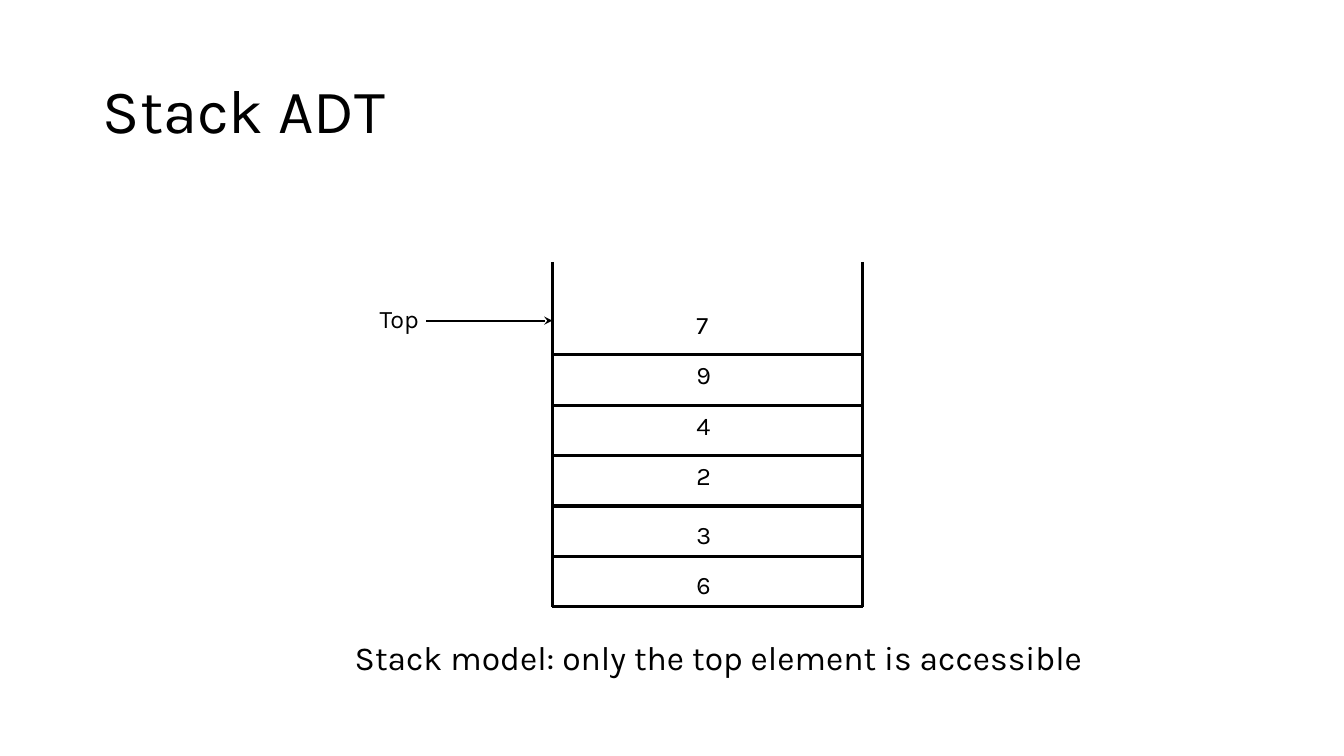
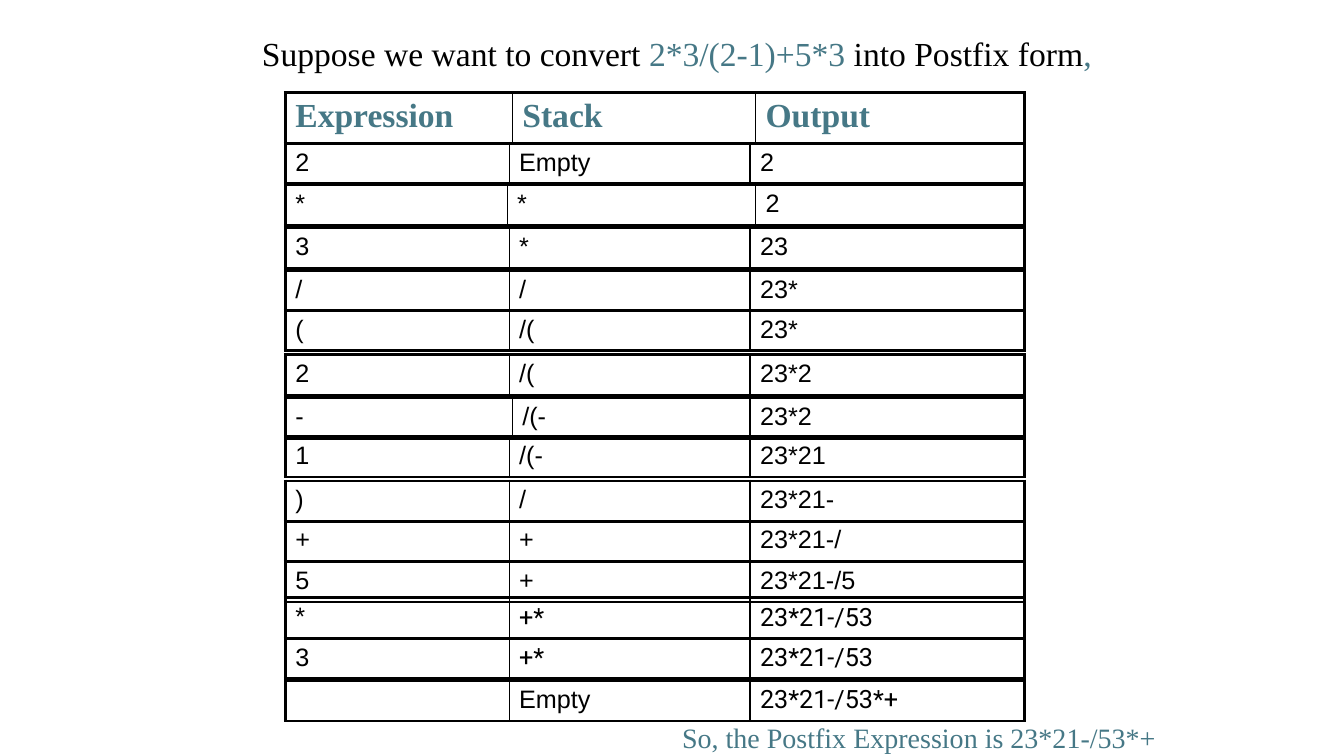
from dataclasses import dataclass

from lxml import etree
from pptx import Presentation
from pptx.dml.color import RGBColor
from pptx.enum import shapes, text
from pptx.oxml import ns
from pptx.util import Cm, Pt


@dataclass(frozen=True)
class Theme:
    ink = RGBColor(0, 0, 0)
    accent = RGBColor(0x46, 0x78, 0x86)
    sans, serif, body, digits = "Karla", "Times New Roman", "Arial", "Roboto"
    title_size, lead_size, closing_size, label_size = 44, 24, 20, 18
    thick, medium, thin = Pt(2.25), Pt(1.5), Pt(1)


THEME = Theme()

STACK_LEFT, STACK_RIGHT, STACK_TOP, STACK_BOTTOM = 13.92, 21.74, 6.6, 15.29
SLOT = 1.27
STACK_ITEMS = "794236"

TABLE_LEFT, TABLE_WIDTH = 7.19, 18.62
HEADER_TOP, HEADER_HEIGHT, STEP_HEIGHT = 2.34, 1.27, 1.02
DIVIDERS = (5.64, 11.71)
HEADINGS = ("Expression", "Stack", "Output")
# Top of the row, its three texts, and its column dividers where they differ
STEPS = [
    (3.61, ("2", "Empty", "2"), DIVIDERS),
    (4.65, ("*", "*", "2"), (5.59, 11.85)),
    (5.74, ("3", "*", "23"), DIVIDERS),
    (6.81, ("/", "/", "23*"), DIVIDERS),
    (7.82, ("(", "/(", "23*"), DIVIDERS),
    (8.94, ("2", "/(", "23*2"), DIVIDERS),
    (10.03, ("-", "/(-", "23*2"), (5.72, 11.71)),
    (11, ("1", "/(-", "23*21"), DIVIDERS),
    (12.12, (")", "/", "23*21-"), DIVIDERS),
    (13.13, ("+", "+", "23*21-/"), DIVIDERS),
    (14.15, ("5", "+", "23*21-/5"), DIVIDERS),
    (15.06, ("*", "+*", "23*21-/53"), DIVIDERS),
    (16.08, ("3", "+*", "23*21-/53"), DIVIDERS),
    (17.15, ("", "Empty", "23*21-/53*+"), DIVIDERS),
]


class Deck:
    def __init__(self, theme):
        self.theme = theme
        self.prs = Presentation()
        self.prs.slide_width, self.prs.slide_height = Cm(33.87), Cm(19.05)
        self.slide = None

    def new_slide(self, title=None):
        layout = self.prs.slide_layouts[6 if title is None else 5]
        self.slide = self.prs.slides.add_slide(layout)
        if title is not None:
            self.title(title)

    def run(self, paragraph, words, size, face, color=None, bold=False):
        run = paragraph.add_run()
        run.text = words
        run.font.size, run.font.name, run.font.bold = Pt(size), face, bold
        run.font.color.rgb = color or self.theme.ink

    def title(self, words):
        holder = self.slide.shapes.title
        holder.left, holder.top = Cm(2.34), Cm(1.02)
        holder.width, holder.height = Cm(29.21), Cm(3.68)
        frame = holder.text_frame
        frame.auto_size = text.MSO_AUTO_SIZE.NONE
        frame.vertical_anchor = text.MSO_ANCHOR.MIDDLE
        paragraph = frame.paragraphs[0]
        paragraph.alignment = text.PP_ALIGN.LEFT
        paragraph.line_spacing = 0.9
        self.run(paragraph, words, self.theme.title_size, self.theme.sans)

    def label(self, left, top, width, height, parts, size, face):
        """Place one line of text; parts holds (words, colour) pairs."""
        box = self.slide.shapes.add_textbox(Cm(left), Cm(top), Cm(width), Cm(height))
        box.text_frame.word_wrap = True
        for words, color in parts:
            self.run(box.text_frame.paragraphs[0], words, size, face, color)

    def line(self, x1, y1, x2, y2, width, arrow=False):
        connector = self.slide.shapes.add_connector(
            shapes.MSO_CONNECTOR.STRAIGHT, Cm(x1), Cm(y1), Cm(x2), Cm(y2))
        connector.line.color.rgb = self.theme.ink
        connector.line.width = width
        if arrow:
            etree.SubElement(connector.line._get_or_add_ln(), ns.qn("a:tailEnd"), type="stealth")
        etree.SubElement(connector._element.spPr, ns.qn("a:effectLst"))

    def borders(self, cell, first, last):
        """Draw the outer edges thick and the inner dividers thin."""
        theme = self.theme
        widths = {"lnL": theme.thick if first else theme.thin,
                  "lnR": theme.thick if last else theme.thin,
                  "lnT": theme.thick, "lnB": theme.thick}
        properties = cell._tc.get_or_add_tcPr()
        for side, width in widths.items():
            edge = etree.SubElement(properties, ns.qn(f"a:{side}"), w=str(int(width)))
            fill = etree.SubElement(edge, ns.qn("a:solidFill"))
            etree.SubElement(fill, ns.qn("a:srgbClr"), val=str(theme.ink))

    def table_row(self, top, height, dividers, words, style):
        """Add a one-row table; style(words) gives the arguments of each run."""
        table = self.slide.shapes.add_table(
            1, len(words), Cm(TABLE_LEFT), Cm(top), Cm(TABLE_WIDTH), Cm(height)).table
        table.first_row = table.horz_banding = False
        edges = (0, *dividers, TABLE_WIDTH)
        for i, entry in enumerate(words):
            table.columns[i].width = Cm(edges[i + 1] - edges[i])
            cell = table.cell(0, i)
            self.borders(cell, i == 0, i == len(words) - 1)
            cell.fill.background()
            if entry:
                self.run(cell.text_frame.paragraphs[0], entry, **style(entry))


def heading_style(_):
    return dict(size=THEME.lead_size, face=THEME.serif, color=THEME.accent, bold=True)


def step_style(entry):
    late = entry == "+*" or entry.startswith("23*21-/53")
    return dict(size=THEME.label_size, face=THEME.digits if late else THEME.body)


def stack_slide(deck):
    deck.new_slide("Stack ADT")
    for wall in (STACK_LEFT, STACK_RIGHT):
        deck.line(wall, STACK_TOP, wall, STACK_BOTTOM, THEME.thick)
    for i in range(len(STACK_ITEMS)):
        floor = STACK_BOTTOM - i * SLOT
        deck.line(STACK_LEFT, floor, STACK_RIGHT, floor, THEME.thick)
    for i, item in enumerate(STACK_ITEMS):
        drop = 0.21 if i >= 4 else 0
        deck.label(17.3, 7.67 + i * SLOT + drop, 1.27, 1.02,
                   [(item, THEME.ink)], THEME.label_size, THEME.sans)
    deck.line(10.74, 8.08, STACK_LEFT, 8.08, THEME.medium, arrow=True)
    deck.label(9.32, 7.52, 2.34, 1.02, [("Top", THEME.ink)], THEME.label_size, THEME.sans)
    deck.label(8.69, 15.93, 19.05, 1.27,
               [("Stack model: only the top element is accessible", THEME.ink)],
               THEME.lead_size, THEME.sans)


def postfix_slide(deck):
    deck.new_slide()
    deck.label(6.35, 0.71, 22.48, 1.27, [
        ("Suppose we want to convert", THEME.ink),
        (" 2*3/(2-1)+5*3 ", THEME.accent),
        ("into Postfix form", THEME.ink),
        (",", THEME.accent),
    ], THEME.lead_size, THEME.serif)
    deck.table_row(HEADER_TOP, HEADER_HEIGHT, (5.72, 11.85), HEADINGS, heading_style)
    for top, words, dividers in STEPS:
        deck.table_row(top, STEP_HEIGHT, dividers, words, step_style)
    deck.label(16.94, 18.03, 13, 1.02,
               [("So, the Postfix Expression is 23*21-/53*+", THEME.accent)],
               THEME.closing_size, THEME.serif)


def main():
    deck = Deck(THEME)
    stack_slide(deck)
    postfix_slide(deck)
    deck.prs.save("out.pptx")


if __name__ == "__main__":
    main()
